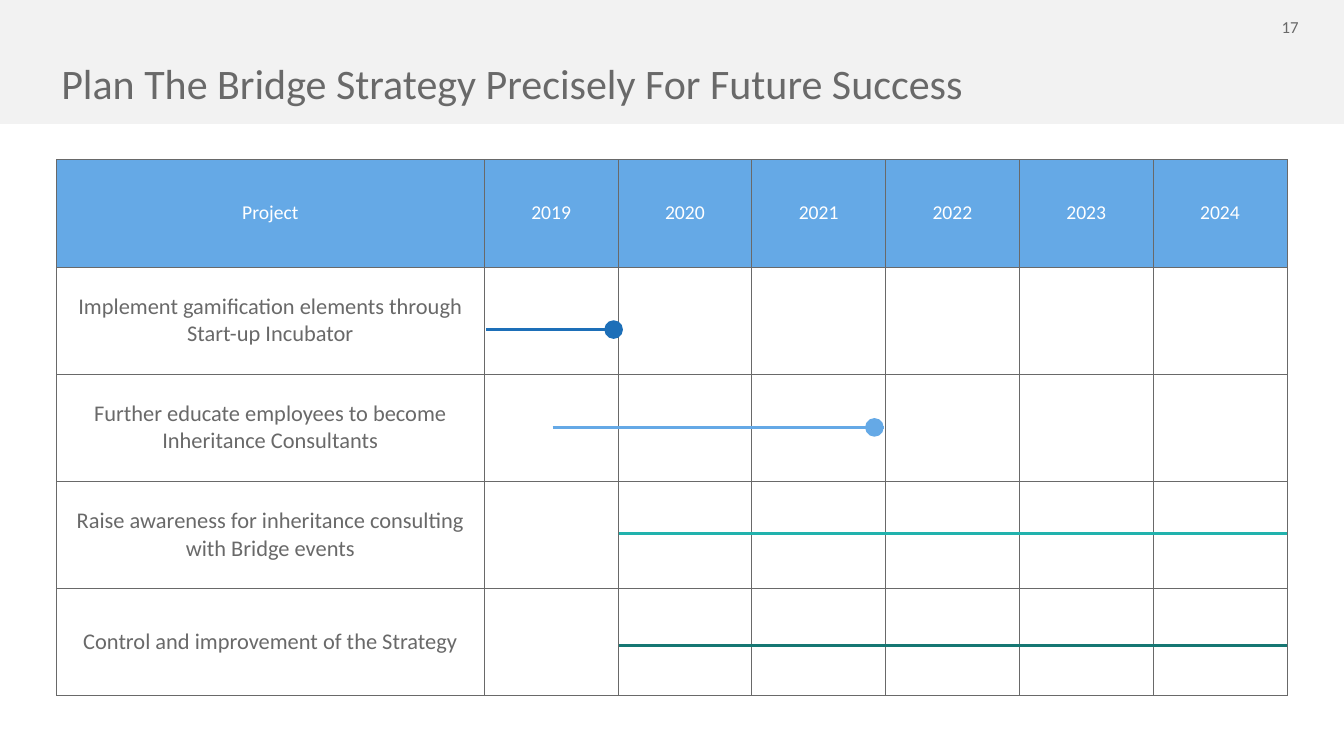
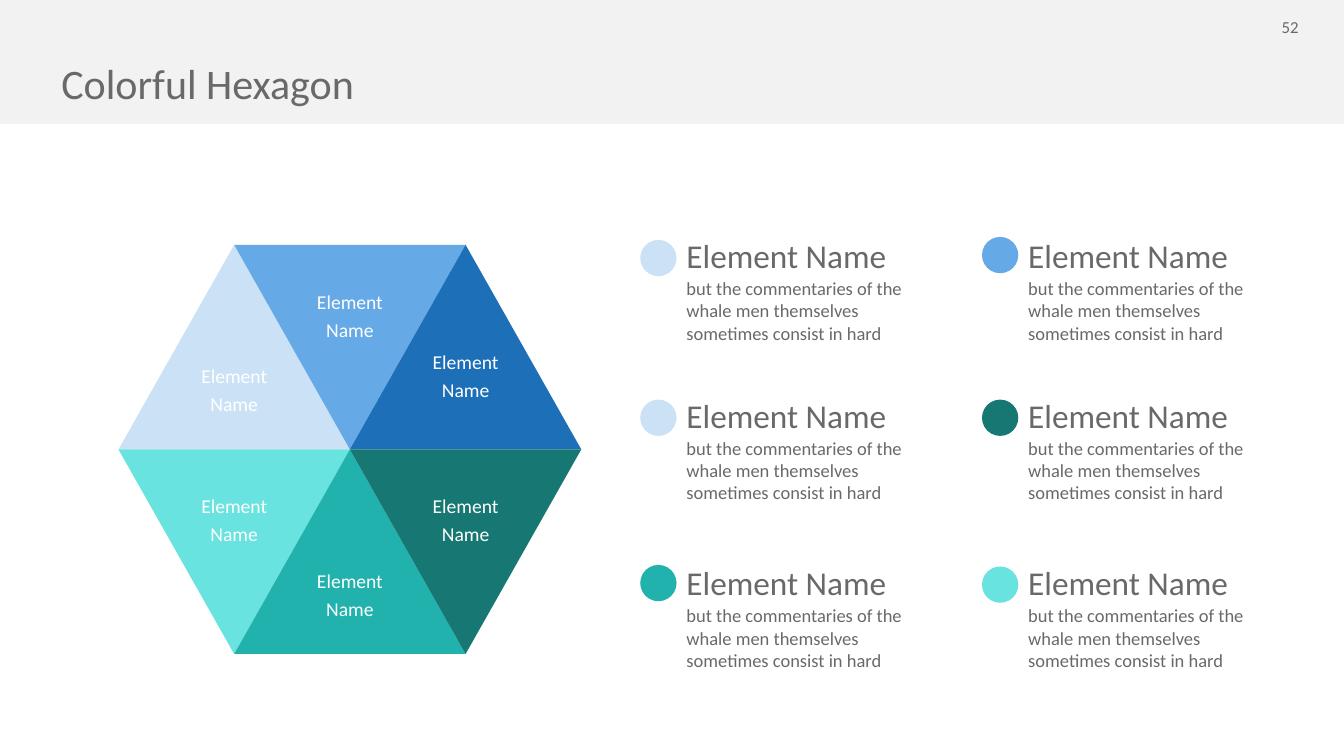
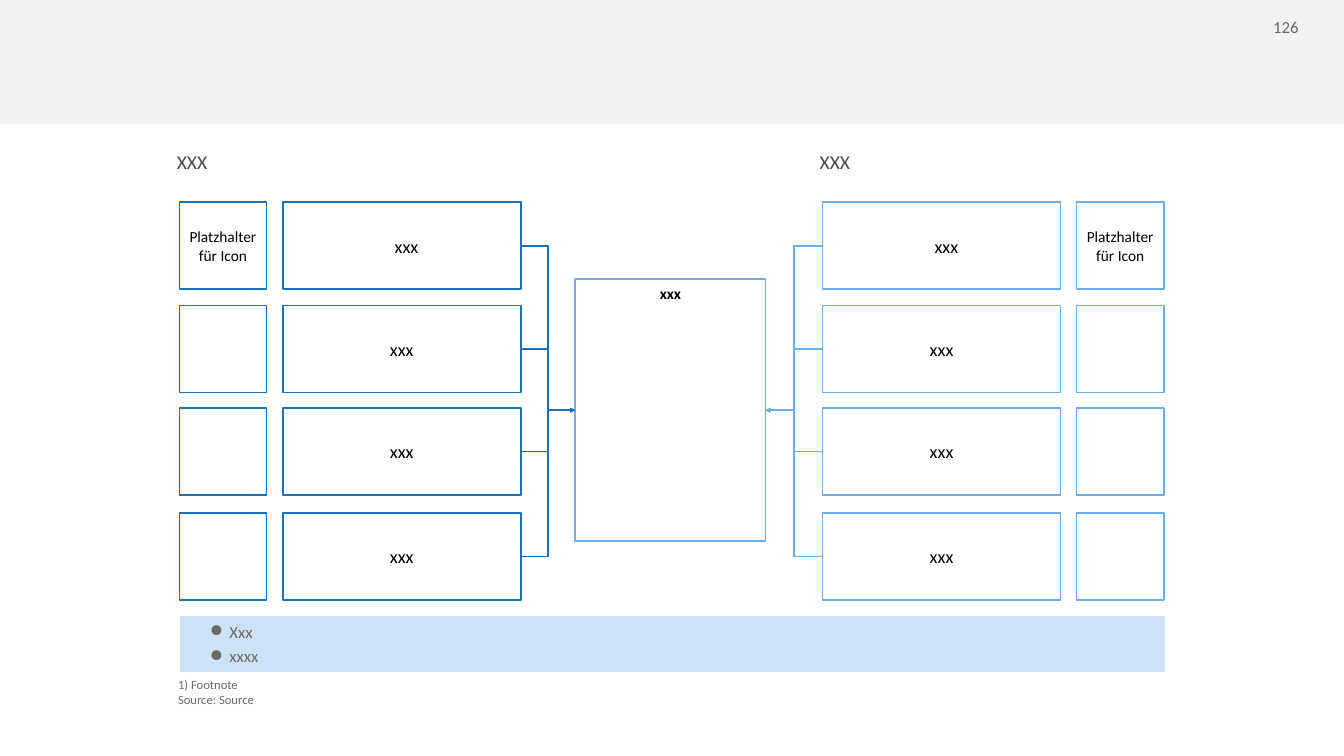
"""Builds three slides: a project timeline, a coloured hexagon and a flow of boxes into a hub."""
from lxml import etree
from pptx import Presentation
from pptx.dml.color import RGBColor
from pptx.enum.shapes import MSO_CONNECTOR, MSO_SHAPE, MSO_SHAPE_TYPE
from pptx.enum.text import MSO_ANCHOR, PP_ALIGN
from pptx.oxml.ns import qn
from pptx.util import Cm, Pt

RECTANGLE, OVAL = MSO_SHAPE.RECTANGLE, MSO_SHAPE.OVAL
STRAIGHT, ELBOW = MSO_CONNECTOR.STRAIGHT, MSO_CONNECTOR.ELBOW
TOP, MIDDLE, BOTTOM = MSO_ANCHOR.TOP, MSO_ANCHOR.MIDDLE, MSO_ANCHOR.BOTTOM
LEFT, CENTER, RIGHT = PP_ALIGN.LEFT, PP_ALIGN.CENTER, PP_ALIGN.RIGHT

FONT = "Calibri"
GREY, DARK_GREY, LIGHT_GREY = "696969", "494949", "F2F2F2"
WHITE, BLACK = "FFFFFF", "000000"
PALE_BLUE, SKY_BLUE, DEEP_BLUE = "CBE2F6", "65A9E6", "1D6FB8"
PALE_TEAL, TEAL, DEEP_TEAL = "68E3DF", "21B2AD", "167773"
BOX_BLUE, BAR_BLUE = "6BADE5", "CCE3F7"
WIDE_MARGINS = (0.51, 0.25, 0.51, 0.25)
color = RGBColor.from_string


def paint(shape, fill, line=None, width=2.25):
    """Give a shape a flat fill and an optional outline."""
    shape.shadow.inherit = False
    shape.fill.solid()
    shape.fill.fore_color.rgb = color(fill)
    if line:
        shape.line.color.rgb = color(line)
        shape.line.width = Pt(width)
    else:
        shape.line.fill.background()


def write(text_frame, text, size, text_color=GREY, align=LEFT, anchor=TOP,
          margins=(0.25, 0.13, 0.25, 0.13), wrap=True, bold=False):
    """Fill a text frame and format its paragraphs."""
    text_frame.text = text
    text_frame.word_wrap = wrap
    text_frame.vertical_anchor = anchor
    (text_frame.margin_left, text_frame.margin_top,
     text_frame.margin_right, text_frame.margin_bottom) = map(Cm, margins)
    for paragraph in text_frame.paragraphs:
        paragraph.alignment = align
        for run in paragraph.runs:
            run.font.name = FONT
            run.font.size = Pt(size)
            run.font.bold = bold
            run.font.color.rgb = color(text_color)


presentation = Presentation()
presentation.slide_width, presentation.slide_height = Cm(67.72), Cm(38.1)
slides = []
for number, title in [("17", "Plan The Bridge Strategy Precisely For Future Success"),
                      ("52", "Colorful Hexagon"), ("126", None)]:
    slide = presentation.slides.add_slide(presentation.slide_layouts[6])
    slides.append(slide)
    band = slide.shapes.add_shape(RECTANGLE, Cm(-0.43), Cm(0), Cm(68.63), Cm(6.25))
    paint(band, LIGHT_GREY)
    number_box = slide.shapes.add_textbox(Cm(62.69), Cm(0.61), Cm(3.25), Cm(1.55))
    write(number_box.text_frame, number, 24, align=RIGHT, margins=WIDE_MARGINS)
    if title:
        title_box = slide.shapes.add_textbox(Cm(2.84), Cm(3.05), Cm(62), Cm(3.2))
        write(title_box.text_frame, title, 60)
        title_box.text_frame.paragraphs[0].line_spacing = 0.9
timeline_slide, hexagon_slide, hub_slide = slides

shapes = timeline_slide.shapes
header = ["Project", "2019", "2020", "2021", "2022", "2023", "2024"]
projects = ["Implement gamification elements through Start-up Incubator",
            "Further educate employees to become Inheritance Consultants",
            "Raise awareness for inheritance consulting with Bridge events",
            "Control and improvement of the Strategy"]
table = shapes.add_table(5, 7, Cm(2.84), Cm(8.05), Cm(62), Cm(27)).table
for index, column in enumerate(table.columns):
    column.width = Cm(6.74 if index else 21.56)
for row_index, row in enumerate(table.rows):
    row.height = Cm(5.4)
    for column_index, cell in enumerate(row.cells):
        cell.vertical_anchor = MIDDLE
        if row_index == 0:
            write(cell.text_frame, header[column_index], 28, WHITE, CENTER)
            cell.fill.solid()
            cell.fill.fore_color.rgb = color(SKY_BLUE)
        else:
            if column_index == 0:
                write(cell.text_frame, projects[row_index - 1], 32, align=CENTER)
            cell.fill.background()
        properties = cell._tc.get_or_add_tcPr()
        for position, side in enumerate(["lnL", "lnR", "lnT", "lnB"]):
            border = etree.Element(qn(f"a:{side}"), w=str(Pt(1)))
            border_fill = etree.SubElement(border, qn("a:solidFill"))
            etree.SubElement(border_fill, qn("a:srgbClr"), val=GREY)
            properties.insert(position, border)

for start, end, y, bar_color, dot_left in [
        (24.49, 31.19, 16.61, DEEP_BLUE, 30.45), (27.84, 44.53, 21.54, SKY_BLUE, 43.59),
        (31.19, 64.87, 26.87, TEAL, None), (31.19, 64.87, 32.54, DEEP_TEAL, None)]:
    bar = shapes.add_connector(STRAIGHT, Cm(start), Cm(y), Cm(end), Cm(y))
    bar.line.color.rgb = color(bar_color)
    bar.line.width = Pt(4.5)
    if dot_left:
        dot = shapes.add_shape(OVAL, Cm(dot_left), Cm(y - 0.47), Cm(0.94), Cm(0.94))
        paint(dot, bar_color)

shapes = hexagon_slide.shapes
half_side, triangle_height = 5.83, 10.31
triangle_colors = [[PALE_BLUE, SKY_BLUE, DEEP_BLUE], [PALE_TEAL, TEAL, DEEP_TEAL]]
for row_index, row_colors in enumerate(triangle_colors):
    for column_index, triangle_color in enumerate(row_colors):
        left = 5.97 + column_index * half_side
        top = 12.34 + row_index * triangle_height
        points_up = (row_index + column_index) % 2 == 0
        base = top + triangle_height if points_up else top
        tip = top if points_up else top + triangle_height
        builder = shapes.build_freeform(Cm(left), Cm(base))
        builder.add_line_segments([(Cm(left + half_side), Cm(tip)),
                                   (Cm(left + 2 * half_side), Cm(base))])
        triangle = builder.convert_to_shape()
        paint(triangle, triangle_color)
        if points_up:
            margins = (2.44, 4.67, 2.44, 1.63 if column_index == 2 else 0.2)
        else:
            margins = (2.44, 1.63, 2.44, 4.67)
        write(triangle.text_frame, "Element\nName", 28, WHITE, CENTER, MIDDLE, margins)
        for paragraph in triangle.text_frame.paragraphs:
            paragraph.line_spacing = 0.9
            paragraph.space_after = Pt(9.8)

legend_margins = (0.33, 0.18, 0.33, 0.18)
legend_rows = [(11.68, [(PALE_BLUE, 12.09), (SKY_BLUE, 11.94)]),
               (19.74, [(PALE_BLUE, 20.14), (DEEP_TEAL, 20.14)]),
               (28.17, [(TEAL, 28.47), (PALE_TEAL, 28.55)])]
for top, dots in legend_rows:
    for left, (dot_color, dot_top) in zip([32.26, 49.48], dots):
        dot = shapes.add_shape(OVAL, Cm(left), Cm(dot_top), Cm(1.83), Cm(1.83))
        paint(dot, dot_color)
        description = shapes.add_textbox(Cm(left + 2), Cm(top + 2.11), Cm(13.18), Cm(3.71))
        write(description.text_frame,
              "but the commentaries of the whale men themselves sometimes consist in hard",
              26.4, margins=legend_margins)
        name = shapes.add_textbox(Cm(left + 2), Cm(top), Cm(11.15), Cm(2.36))
        write(name.text_frame, "Element Name", 47.5, margins=legend_margins)

shapes = hub_slide.shapes
footnote = shapes.add_textbox(Cm(8.46), Cm(33.81), Cm(50.75), Cm(2.06))
write(footnote.text_frame, "1) Footnote\nSource: Source", 18, anchor=BOTTOM, margins=WIDE_MARGINS)
hub = shapes.add_shape(RECTANGLE, Cm(28.98), Cm(14.07), Cm(9.6), Cm(13.21))
paint(hub, WHITE, BOX_BLUE)
write(hub.text_frame, "xxx", 22, BLACK, CENTER, margins=WIDE_MARGINS, wrap=False, bold=True)

for side_color, label_left, icon_left, box_left, box_site, hub_site in [
        (DEEP_BLUE, 8.66, 9.04, 14.25, 3, 1), (BOX_BLUE, 41.05, 54.25, 41.45, 1, 3)]:
    label = shapes.add_textbox(Cm(label_left), Cm(7.44), Cm(2.06), Cm(1.45))
    write(label.text_frame, "XXX", 28, DARK_GREY, wrap=False)
    for row_index, top in enumerate([10.19, 15.39, 20.57, 25.86]):
        icon = shapes.add_shape(RECTANGLE, Cm(icon_left), Cm(top), Cm(4.39), Cm(4.39))
        paint(icon, WHITE, side_color)
        box = shapes.add_shape(RECTANGLE, Cm(box_left), Cm(top), Cm(11.99), Cm(4.39))
        paint(box, WHITE, side_color)
        write(box.text_frame, "xxx", 26, BLACK, CENTER, MIDDLE, (0, 0, 0, 0))
        if row_index == 0:
            write(icon.text_frame, "Platzhalter\nfür Icon", 22, BLACK, CENTER, MIDDLE,
                  WIDE_MARGINS, wrap=False)
            properties = box.text_frame.paragraphs[0]._p.get_or_add_pPr()
            properties.set("marL", str(Cm(0.48)))
            properties.set("indent", "0")
            tabs = etree.SubElement(properties, qn("a:tabLst"))
            etree.SubElement(tabs, qn("a:tab"), pos=str(Cm(9.98)), algn="l")
        link = shapes.add_connector(ELBOW, Cm(0), Cm(0), Cm(1), Cm(1))
        link.begin_connect(box, box_site)
        link.end_connect(hub, hub_site)
        link.line.color.rgb = color(side_color)
        link.line.width = Pt(2.25)
        etree.SubElement(link.element.spPr.find(qn("a:ln")), qn("a:tailEnd"), type="triangle")

summary = shapes.add_shape(RECTANGLE, Cm(9.07), Cm(31.06), Cm(49.61), Cm(2.79))
paint(summary, BAR_BLUE, BAR_BLUE, 1)
write(summary.text_frame, "Xxx\nxxxx", 24, anchor=MIDDLE, margins=WIDE_MARGINS)
for paragraph in summary.text_frame.paragraphs:
    paragraph.level = 1
    paragraph.space_after = Pt(6)
    properties = paragraph._p.get_or_add_pPr()
    properties.set("marL", str(Cm(1.98)))
    properties.set("indent", str(Cm(-0.99)))
    bullet_color = etree.SubElement(properties, qn("a:buClr"))
    etree.SubElement(bullet_color, qn("a:srgbClr"), val=GREY)
    etree.SubElement(properties, qn("a:buChar"), char="●")

for slide in slides:
    for shape in slide.shapes:
        if shape.shape_type == MSO_SHAPE_TYPE.LINE:
            etree.SubElement(shape.element.spPr, qn("a:effectLst"))

presentation.save("out.pptx")
